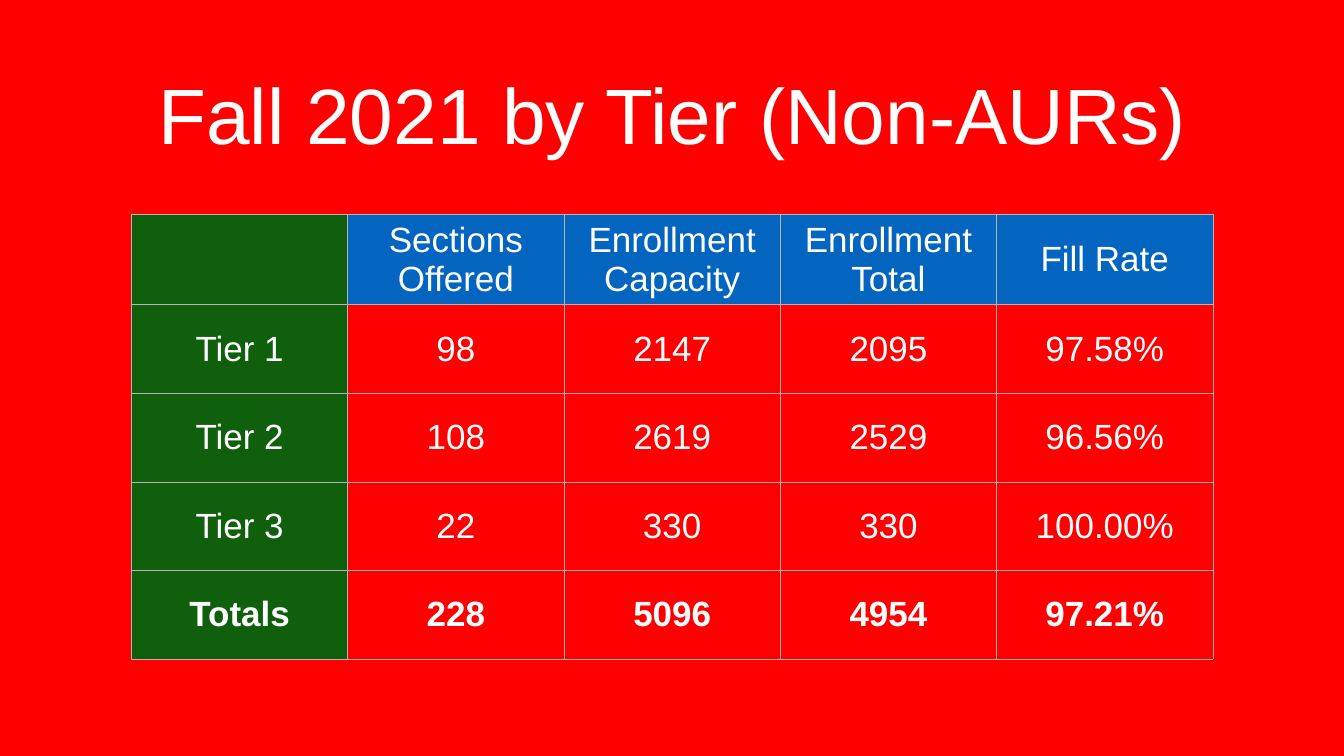
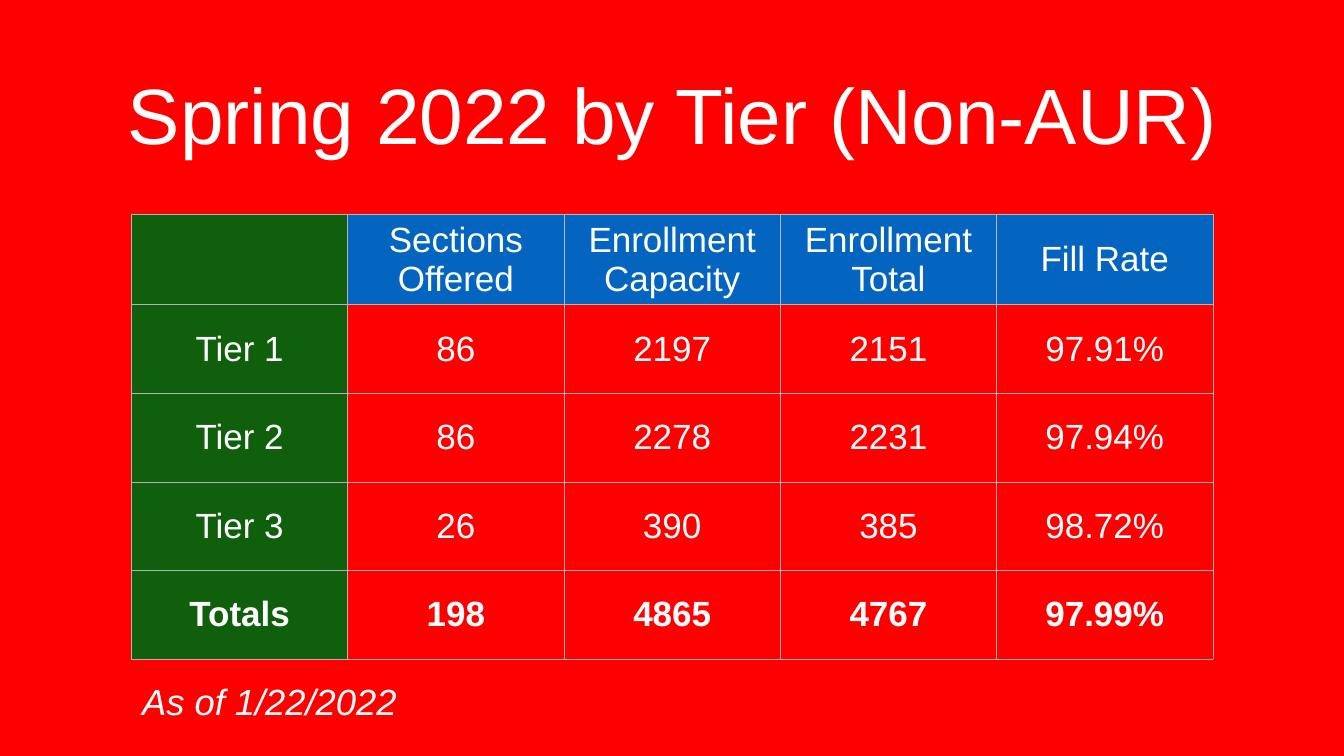
from lxml import etree
from pptx import Presentation
from pptx.dml.color import RGBColor
from pptx.enum.text import MSO_ANCHOR, PP_ALIGN
from pptx.oxml.ns import qn
from pptx.util import Inches, Pt

CENTER, LEFT = PP_ALIGN.CENTER, PP_ALIGN.LEFT
MIDDLE = MSO_ANCHOR.MIDDLE

RED = RGBColor(0xFF, 0x00, 0x00)
BLUE = RGBColor(0x03, 0x65, 0xC0)
GREEN = RGBColor(0x0F, 0x5F, 0x0C)
WHITE = RGBColor(0xFF, 0xFF, 0xFF)
GRAY = RGBColor(0xB4, 0xB4, 0xB4)

FONT = "Arial"
INSET = Inches(0.06)
HEADINGS = ["", "Sections Offered", "Enrollment Capacity", "Enrollment Total", "Fill Rate"]
FALL = [
    ["Tier 1", "98", "2147", "2095", "97.58%"],
    ["Tier 2", "108", "2619", "2529", "96.56%"],
    ["Tier 3", "22", "330", "330", "100.00%"],
    ["Totals", "228", "5096", "4954", "97.21%"],
]
SPRING = [
    ["Tier 1", "86", "2197", "2151", "97.91%"],
    ["Tier 2", "86", "2278", "2231", "97.94%"],
    ["Tier 3", "26", "390", "385", "98.72%"],
    ["Totals", "198", "4865", "4767", "97.99%"],
]


class EnrollmentDeck:
    """Builds red slides that each hold a title, a tier table and an optional note."""

    def __init__(self):
        self.deck = Presentation()
        self.deck.slide_width = Inches(26.67)
        self.deck.slide_height = Inches(15)
        self.page = None

    def add_page(self, title):
        self.page = self.deck.slides.add_slide(self.deck.slide_layouts[6])
        background = self.page.background.fill
        background.solid()
        background.fore_color.rgb = RED
        self.add_text(title, 1.96, 0.62, 22.76, 3.26, 112, CENTER)

    def style_paragraph(self, paragraph, size, align, bold=False, italic=False):
        paragraph.alignment = align
        font = paragraph.font
        font.name, font.size, font.color.rgb = FONT, Pt(size), WHITE
        font.bold, font.italic = bold, italic

    def set_insets(self, holder):
        holder.margin_left = holder.margin_right = INSET
        holder.margin_top = holder.margin_bottom = INSET
        holder.vertical_anchor = MIDDLE

    def add_text(self, text, left, top, width, height, size, align, italic=False):
        box = self.page.shapes.add_textbox(
            Inches(left), Inches(top), Inches(width), Inches(height))
        frame = box.text_frame
        frame.word_wrap = True
        self.set_insets(frame)
        frame.text = text
        self.style_paragraph(frame.paragraphs[0], size, align, italic=italic)

    def add_borders(self, cell):
        properties = cell._tc.get_or_add_tcPr()
        for side in ("a:lnL", "a:lnR", "a:lnT", "a:lnB"):
            line = etree.SubElement(properties, qn(side), w=str(Pt(1)))
            fill = etree.SubElement(line, qn("a:solidFill"))
            etree.SubElement(fill, qn("a:srgbClr"), val=str(GRAY))

    def fill_cell(self, cell, color):
        if color is None:
            cell.fill.background()
        else:
            cell.fill.solid()
            cell.fill.fore_color.rgb = color

    def add_tier_table(self, tiers):
        rows = [HEADINGS] + tiers
        table = self.page.shapes.add_table(
            len(rows), len(HEADINGS),
            Inches(2.61), Inches(4.26), Inches(21.46), Inches(8.79)).table
        table.first_row = table.horz_banding = False
        for row_index, row in enumerate(rows):
            for column_index, text in enumerate(row):
                cell = table.cell(row_index, column_index)
                self.set_insets(cell)
                cell.text = text
                self.style_paragraph(cell.text_frame.paragraphs[0], 50, CENTER,
                                     bold=row[0] == "Totals")
                self.add_borders(cell)
                color = GREEN if column_index == 0 else BLUE if row_index == 0 else None
                self.fill_cell(cell, color)

    def add_note(self, text):
        self.add_text(text, 2.76, 13.42, 13.1, 0.97, 52, LEFT, italic=True)


def main():
    builder = EnrollmentDeck()
    builder.add_page("Fall 2021 by Tier (Non-AURs)")
    builder.add_tier_table(FALL)
    builder.add_page("Spring 2022 by Tier (Non-AUR)")
    builder.add_tier_table(SPRING)
    builder.add_note("As of 1/22/2022")
    builder.deck.save("out.pptx")


if __name__ == "__main__":
    main()
